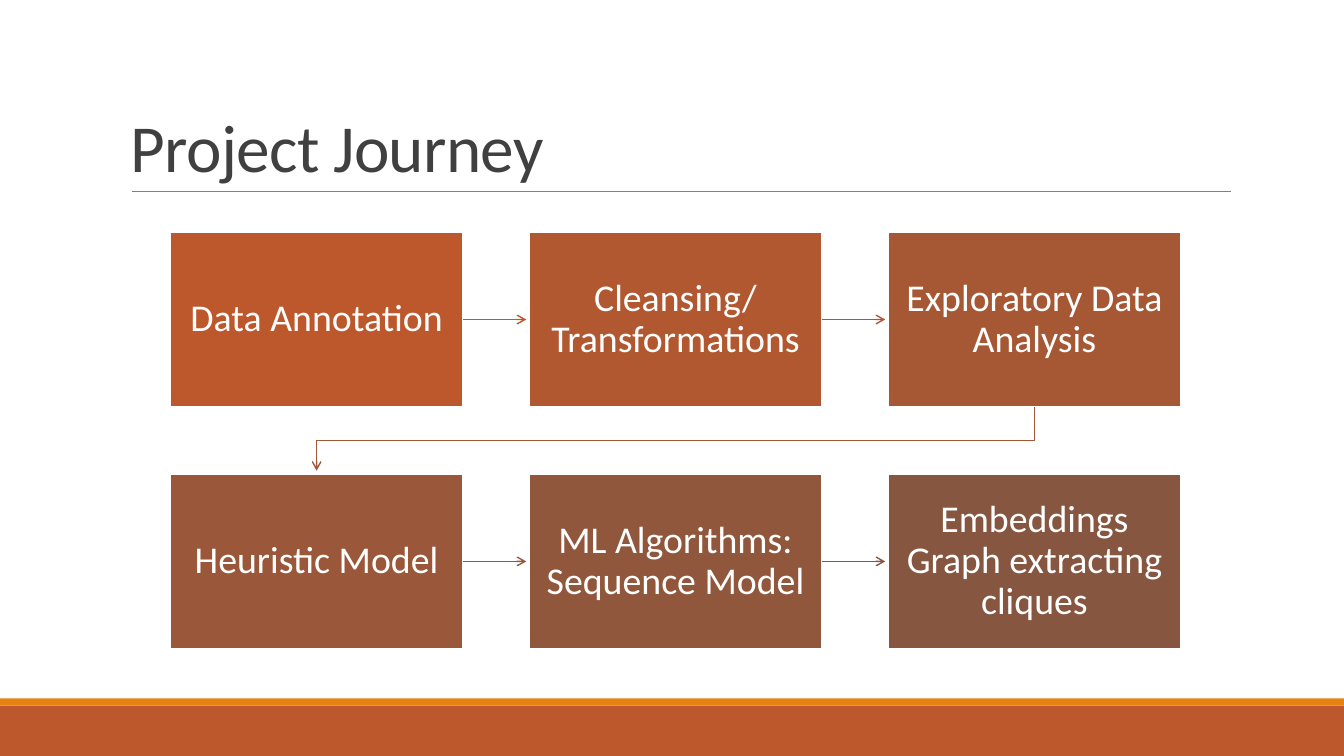
from dataclasses import dataclass

from lxml import etree
from pptx import Presentation
from pptx import util as u
from pptx.dml.color import RGBColor
from pptx.enum import shapes, text
from pptx.oxml.ns import qn

WIDTH, HEIGHT = 13.33, 7.5


@dataclass(frozen=True)
class Theme:
    font: str = "Calibri"
    title_size: int = 48
    step_size: int = 27
    title: str = "404040"
    rule: str = "808080"
    footer: str = "BD582C"
    accent: str = "E48312"
    white: str = "FFFFFF"


THEME = Theme()

# Each step: wording, box colour, colour of the arrow that leaves it
STEPS = [
    ("Data Annotation", "BD582C", "BD582C"),
    ("Cleansing/ Transformations", "B15831", "AE5832"),
    ("Exploratory Data Analysis", "A65835", "A05837"),
    ("Heuristic Model", "9B5739", "93573C"),
    ("ML Algorithms: Sequence Model", "90573D", "865640"),
    ("Embeddings Graph extracting cliques", "865640", None),
]
COLUMNS = 3


def inches(*lengths):
    return [u.Inches(length) for length in lengths]


def write_text(shape, wording, *, size, color, align, anchor, line_spacing,
               margins=(0.1, 0.05), tracking=None):
    frame = shape.text_frame
    frame.word_wrap = True
    frame.vertical_anchor = anchor
    frame.margin_left = frame.margin_right = u.Inches(margins[0])
    frame.margin_top = frame.margin_bottom = u.Inches(margins[1])
    paragraph = frame.paragraphs[0]
    paragraph.alignment = align
    paragraph.line_spacing = line_spacing
    run = paragraph.add_run()
    run.text = wording
    run.font.name = THEME.font
    run.font.size = u.Pt(size)
    run.font.color.rgb = RGBColor.from_string(color)
    if tracking is not None:
        run.font._element.set("spc", str(round(tracking * 100)))


def add_rectangle(slide, box, fill, border=None):
    shape = slide.shapes.add_shape(shapes.MSO_SHAPE.RECTANGLE, *inches(*box))
    shape.shadow.inherit = False
    shape.fill.solid()
    shape.fill.fore_color.rgb = RGBColor.from_string(fill)
    if border:
        style_line(shape.line, border, 1.25)
    else:
        shape.line.fill.background()
    return shape


def style_line(line, color, width, arrow=False):
    line.color.rgb = RGBColor.from_string(color)
    line.width = u.Pt(width)
    if arrow:
        etree.SubElement(line._get_or_add_ln(), qn("a:tailEnd"), type="arrow")


def add_straight(slide, start, end, color, width, arrow=False):
    connector = slide.shapes.add_connector(
        shapes.MSO_CONNECTOR.STRAIGHT, *inches(*start, *end))
    style_line(connector.line, color, width, arrow)
    etree.SubElement(connector._element.spPr, qn("a:effectLst"))
    return connector


def add_bent_arrow(slide, points, color):
    start, *others = [tuple(inches(*point)) for point in points]
    builder = slide.shapes.build_freeform(*start)
    builder.add_line_segments(others, close=False)
    shape = builder.convert_to_shape()
    shape.shadow.inherit = False
    shape.fill.background()
    style_line(shape.line, color, 1, arrow=True)


def add_footer(slide, box):
    left, top, width, height = box
    stripe = 0.07
    add_rectangle(slide, (left, top + stripe, width, height - stripe), THEME.footer)
    add_rectangle(slide, (left, top, width, stripe), THEME.accent)


def add_title(slide, box, wording):
    left, top, width, height = box
    title = slide.shapes.add_textbox(*inches(*box))
    write_text(title, wording, size=THEME.title_size, color=THEME.title,
               align=text.PP_ALIGN.LEFT, anchor=text.MSO_ANCHOR.BOTTOM,
               line_spacing=0.85, tracking=-0.5)
    rule_y = top + height
    add_straight(slide, (left + 0.11, rule_y), (left + width + 0.01, rule_y),
                 THEME.rule, 0.5)


def add_journey(slide, box, steps):
    left, top, width, height = box
    step_width, step_height = 2.9, 1.74
    rows = len(steps) // COLUMNS
    pitch_x = (width - step_width) / (COLUMNS - 1)
    pitch_y = (height - step_height) / (rows - 1)
    tip_gap = 0.03

    # Step boxes, row by row
    places, boxes = [], []
    for index, (wording, fill, _) in enumerate(steps):
        row, column = divmod(index, COLUMNS)
        x, y = left + column * pitch_x, top + row * pitch_y
        step = add_rectangle(slide, (x, y, step_width, step_height), fill, THEME.white)
        write_text(step, wording, size=THEME.step_size, color=THEME.white,
                   align=text.PP_ALIGN.CENTER, anchor=text.MSO_ANCHOR.MIDDLE,
                   line_spacing=0.9, margins=(0.14, 0.15))
        places.append((x, y))
        boxes.append(step)

    # Arrows: straight within a row, bent down to the next row
    for index, (_, _, color) in enumerate(steps[:-1]):
        (x, y), (next_x, next_y) = places[index:index + 2]
        if y == next_y:
            middle = y + step_height / 2
            arrow = add_straight(slide, (x + step_width, middle),
                                 (next_x - tip_gap, middle), color, 1, arrow=True)
            arrow.begin_connect(boxes[index], 3)
        else:
            start_x, end_x = x + step_width / 2, next_x + step_width / 2
            bottom = y + step_height
            turn = (bottom + next_y) / 2
            add_bent_arrow(slide, [(start_x, bottom), (start_x, turn),
                                   (end_x, turn), (end_x, next_y - tip_gap)], color)


def main():
    presentation = Presentation()
    presentation.slide_width, presentation.slide_height = inches(WIDTH, HEIGHT)
    slide = presentation.slides.add_slide(presentation.slide_layouts[6])
    add_footer(slide, (0, 6.93, WIDTH, HEIGHT - 6.93))
    add_title(slide, (1.2, 0.31, 11, 1.59), "Project Journey")
    add_journey(slide, (1.69, 2.3, 10.02, 4.14), STEPS)
    presentation.save("out.pptx")


if __name__ == "__main__":
    main()
